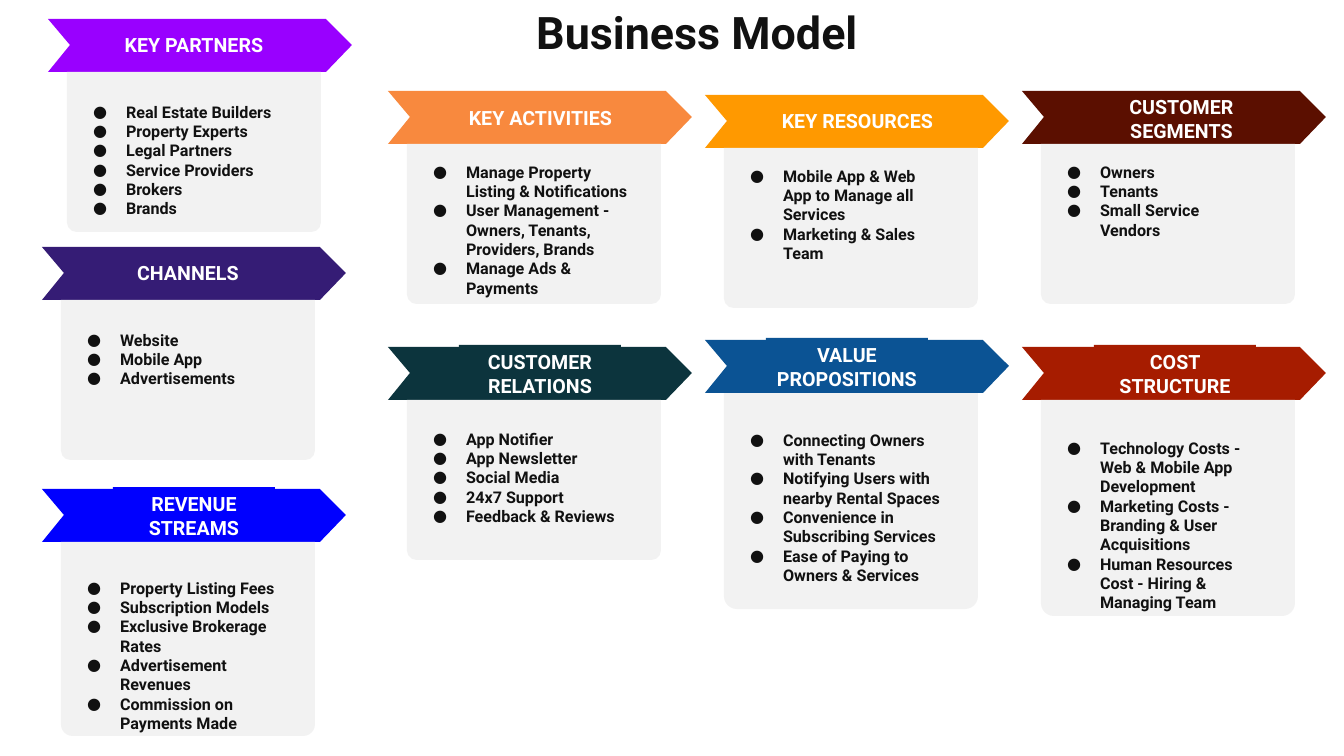
"""Build a one-slide business model canvas of nine arrow-headed cards."""
import copy
from dataclasses import dataclass

import pptx
import pptx.dml.color
import pptx.enum.shapes
import pptx.enum.text
import pptx.oxml
import pptx.oxml.ns
import pptx.presentation
import pptx.shapes.autoshape
import pptx.shapes.base
import pptx.slide
import pptx.text.text
import pptx.util

PX_PER_INCH = 100.8
SLIDE_WIDTH, SLIDE_HEIGHT = 1344, 756
FONT = "Roboto"
COLORS = {
    "ink": "111111",
    "white": "FFFFFF",
    "panel": "F2F2F2",
    "violet": "9900FF",
    "coral": "F8893E",
    "orange": "FF9900",
    "maroon": "5B0F00",
    "indigo": "351C75",
    "teal": "0C343D",
    "blue": "0B5394",
    "red": "A61C00",
    "bright_blue": "0000FF",
}
ARROW = [(278, 53), (304, 26), (278, 0), (0, 0), (22, 26), (0, 53)]
PANEL_X, PANEL_Y, PANEL_WIDTH = 19, 53, 254
LIST_X, LIST_WIDTH, LIST_HEIGHT = 18, 233, 82
LABEL_HEIGHT = 34
HANGING, BULLET_OUTDENT = 50, -33


@dataclass(frozen=True)
class Card:
    """A heading arrow with its panel and list; inner offsets start at the arrow."""

    heading: str
    color: str
    x: int
    y: int
    label_x: int
    label_y: int
    list_y: int
    items: tuple[str, ...]
    panel_height: int = 160
    label_width: int = 162
    filled_label: bool = True


CARDS = [
    Card("KEY PARTNERS", "violet", 48, 19, 65, 9, 78,
         ("Real Estate Builders", "Property Experts", "Legal Partners",
          "Service Providers", "Brokers", "Brands")),
    Card("KEY ACTIVITIES", "coral", 388, 91, 64, 10, 66,
         ("Manage Property Listing & Notifications",
          "User Management - Owners, Tenants, Providers, Brands",
          "Manage Ads & Payments"),
         label_width=177, filled_label=False),
    Card("KEY RESOURCES", "orange", 705, 95, 64, 9, 66,
         ("Mobile App & Web App to Manage all Services",
          "Marketing & Sales Team"),
         label_width=177, filled_label=False),
    Card("CUSTOMER SEGMENTS", "maroon", 1022, 91, 71, -1, 66,
         ("Owners", "Tenants", "Small Service Vendors"),
         label_width=177, filled_label=False),
    Card("CHANNELS", "indigo", 42, 247, 65, 9, 78,
         ("Website", "Mobile App", "Advertisements")),
    Card("CUSTOMER RELATIONS", "teal", 388, 347, 71, -2, 77,
         ("App Notifier", "App Newsletter", "Social Media", "24x7 Support",
          "Feedback & Reviews")),
    Card("VALUE PROPOSITIONS", "blue", 705, 340, 61, -2, 85,
         ("Connecting Owners with Tenants",
          "Notifying Users with nearby Rental Spaces",
          "Convenience in Subscribing Services",
          "Ease of Paying to Owners & Services"),
         panel_height=216),
    Card("COST STRUCTURE", "red", 1022, 347, 72, -2, 86,
         ("Technology Costs - Web & Mobile App Development",
          "Marketing Costs - Branding & User Acquisitions",
          "Human Resources Cost - Hiring & Managing Team"),
         panel_height=216),
    Card("REVENUE STREAMS", "bright_blue", 42, 489, 71, -2, 84,
         ("Property Listing Fees", "Subscription Models",
          "Exclusive Brokerage Rates", "Advertisement Revenues",
          "Commission on Payments Made"),
         panel_height=194),
]


def px(length: int) -> pptx.util.Emu:
    """Turn px into EMU."""
    return pptx.util.Emu(round(length * 914400 / PX_PER_INCH))


def rgb(name: str) -> pptx.dml.color.RGBColor:
    """Look up a named colour."""
    return pptx.dml.color.RGBColor.from_string(COLORS[name])


def place(shape: pptx.shapes.base.BaseShape, x: int, y: int, width: int, height: int) -> None:
    """Move and resize a shape."""
    shape.left, shape.top = px(x), px(y)
    shape.width, shape.height = px(width), px(height)


def paint(shape: pptx.shapes.autoshape.Shape, color: str) -> None:
    """Give a shape a flat fill without outline or shadow."""
    shape.shadow.inherit = False
    shape.fill.solid()
    shape.fill.fore_color.rgb = rgb(color)
    shape.line.fill.background()


def prepare_frame(shape: pptx.shapes.autoshape.Shape) -> pptx.text.text.TextFrame:
    """Make a wrapping, top-anchored text frame of fixed size."""
    frame = shape.text_frame
    frame.word_wrap = True
    frame.auto_size = pptx.enum.text.MSO_AUTO_SIZE.NONE
    frame.vertical_anchor = pptx.enum.text.MSO_ANCHOR.TOP
    return frame


def write(paragraph: pptx.text.text._Paragraph, text: str, size: float, color: str,
          alignment: pptx.enum.text.PP_ALIGN) -> None:
    """Add one bold run to a paragraph."""
    paragraph.alignment = alignment
    paragraph.space_before = pptx.util.Pt(0)
    run = paragraph.add_run()
    run.text = text
    run.font.name = FONT
    run.font.size = pptx.util.Pt(size)
    run.font.bold = True
    run.font.color.rgb = rgb(color)


def add_bullet(paragraph: pptx.text.text._Paragraph) -> None:
    """Give a paragraph a hanging round bullet."""
    properties = paragraph._p.get_or_add_pPr()
    properties.set("marL", str(px(HANGING)))
    properties.set("indent", str(px(BULLET_OUTDENT)))
    namespace = pptx.oxml.ns.nsdecls("a")
    for xml in (
        f'<a:buClr {namespace}><a:srgbClr val="{COLORS["ink"]}"/></a:buClr>',
        f'<a:buFont {namespace} typeface="{FONT}"/>',
        f'<a:buChar {namespace} char="●"/>',
    ):
        properties.append(pptx.oxml.parse_xml(xml))


def add_list_placeholders(layout: pptx.slide.SlideLayout, count: int) -> None:
    """Extend a layout until it has the wanted number of body placeholders."""
    body = layout.placeholders[1].element
    for number in range(1, count):
        extra = copy.deepcopy(body)
        extra.nvSpPr.cNvPr.set("id", str(100 + number))
        extra.ph.set("idx", str(100 + number))
        body.getparent().append(extra)


def draw_card(slide: pptx.slide.Slide, card: Card,
              body: pptx.shapes.autoshape.Shape) -> None:
    """Draw the arrow, label, panel and list of one card."""
    points = [(px(card.x + x), px(card.y + y)) for x, y in ARROW]
    builder = slide.shapes.build_freeform(*points[0], scale=1.0)
    builder.add_line_segments(points[1:], close=True)
    paint(builder.convert_to_shape(), card.color)

    bounds = (px(card.x + card.label_x), px(card.y + card.label_y),
              px(card.label_width), px(LABEL_HEIGHT))
    if card.filled_label:
        label = slide.shapes.add_shape(pptx.enum.shapes.MSO_SHAPE.RECTANGLE, *bounds)
        paint(label, card.color)
    else:
        label = slide.shapes.add_textbox(*bounds)
    write(prepare_frame(label).paragraphs[0], card.heading, 14, "white",
          pptx.enum.text.PP_ALIGN.CENTER)

    panel = slide.shapes.add_shape(
        pptx.enum.shapes.MSO_SHAPE.ROUND_2_SAME_RECTANGLE,
        px(card.x + PANEL_X), px(card.y + PANEL_Y), px(PANEL_WIDTH), px(card.panel_height))
    panel.adjustments[0], panel.adjustments[1] = 0, 0.06
    paint(panel, "panel")

    place(body, card.x + LIST_X, card.y + card.list_y, LIST_WIDTH, LIST_HEIGHT)
    body.element.getparent().append(body.element)
    frame = prepare_frame(body)
    for index, item in enumerate(card.items):
        paragraph = frame.add_paragraph() if index else frame.paragraphs[0]
        write(paragraph, item, 11.5, "ink", pptx.enum.text.PP_ALIGN.LEFT)
        add_bullet(paragraph)


def main() -> None:
    """Build and save the presentation."""
    presentation = pptx.Presentation()
    presentation.slide_width, presentation.slide_height = px(SLIDE_WIDTH), px(SLIDE_HEIGHT)
    layout = presentation.slide_layouts[1]
    add_list_placeholders(layout, len(CARDS))
    slide = presentation.slides.add_slide(layout)
    title, *bodies = list(slide.placeholders)
    place(title, 437, 0, 520, 65)
    write(prepare_frame(title).paragraphs[0], "Business Model", 32, "ink",
          pptx.enum.text.PP_ALIGN.CENTER)
    for card, body in zip(CARDS, bodies):
        draw_card(slide, card, body)
    presentation.save("out.pptx")


if __name__ == "__main__":
    main()
